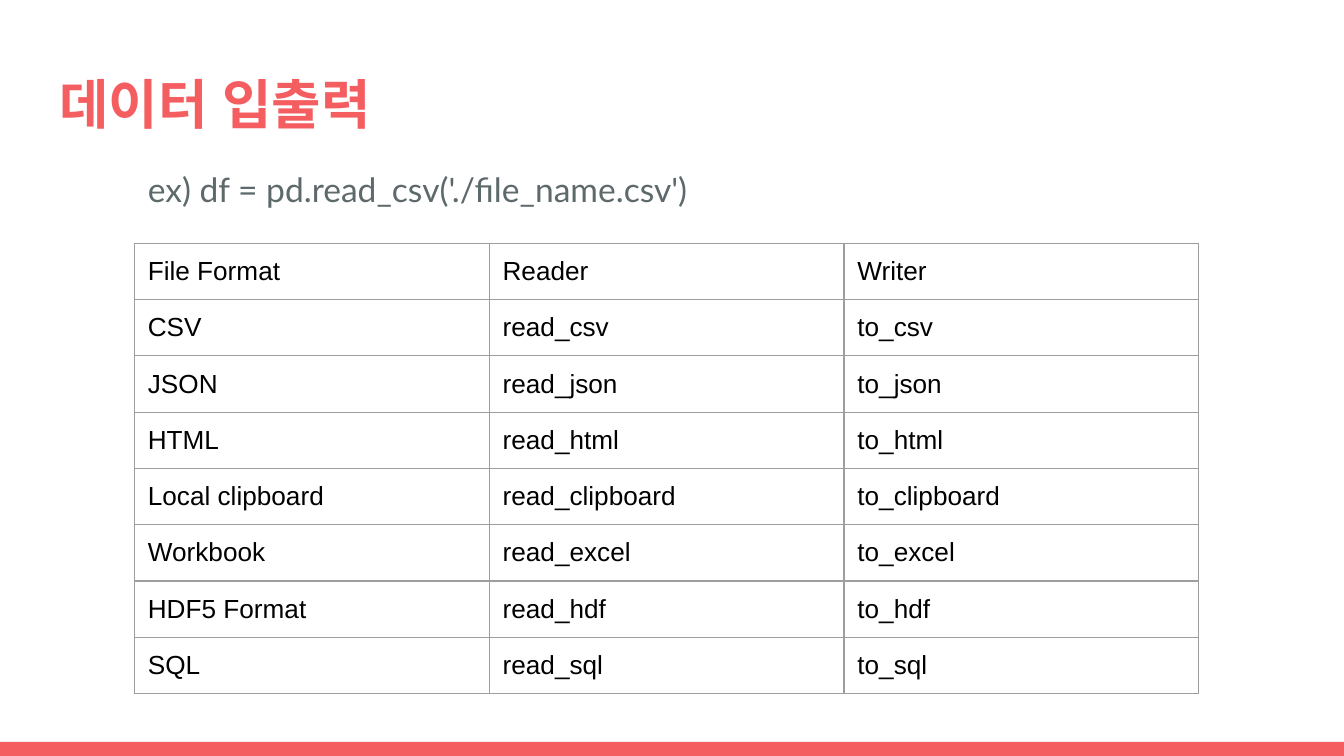
from lxml import etree
from pptx import Presentation
from pptx.dml.color import RGBColor
from pptx.enum.shapes import MSO_SHAPE
from pptx.enum.text import MSO_ANCHOR, MSO_AUTO_SIZE, PP_ALIGN
from pptx.oxml.ns import qn
from pptx.util import Inches, Pt

RECTANGLE = MSO_SHAPE.RECTANGLE
TOP, MIDDLE = MSO_ANCHOR.TOP, MSO_ANCHOR.MIDDLE
LEFT = PP_ALIGN.LEFT
NO_AUTOFIT = MSO_AUTO_SIZE.NONE

CORAL = RGBColor(0xF5, 0x5E, 0x61)
SLATE = RGBColor(0x5E, 0x69, 0x6C)
BLACK = RGBColor(0x00, 0x00, 0x00)
GRID_GREY = RGBColor(0x9E, 0x9E, 0x9E)

FORMATS = [
    ("File Format", "Reader", "Writer"),
    ("CSV", "read_csv", "to_csv"),
    ("JSON", "read_json", "to_json"),
    ("HTML", "read_html", "to_html"),
    ("Local clipboard", "read_clipboard", "to_clipboard"),
    ("Workbook", "read_excel", "to_excel"),
    ("HDF5 Format", "read_hdf", "to_hdf"),
    ("SQL", "read_sql", "to_sql"),
]

SLIDE_W = Inches(10)
SLIDE_H = SLIDE_W * 9 // 16
BAND_TOP = Inches(5.52)
INSET = Inches(0.1)
TABLE_LEFT, TABLE_TOP = Inches(1), Inches(1.81)
TABLE_W, TABLE_H = Inches(7.92), Inches(3.34)
COLUMN_W = TABLE_W // len(FORMATS[0])
ROW_H = TABLE_H // len(FORMATS)


def write(frame, text, *, font, size, color, bold=False, line=1.0, after=0):
    paragraph = frame.paragraphs[0]
    paragraph.alignment = LEFT
    paragraph.line_spacing = line
    paragraph.space_before = Pt(0)
    paragraph.space_after = Pt(after)
    run = paragraph.add_run()
    run.text = text
    run.font.name = font
    run.font.size = Pt(size)
    run.font.bold = bold
    run.font.color.rgb = color
    etree.SubElement(run.font._element, qn("a:ea"), typeface="Arial")
    return paragraph


prs = Presentation()
prs.slide_width, prs.slide_height = SLIDE_W, SLIDE_H
slide = prs.slides.add_slide(prs.slide_layouts[1])

footer_band = slide.shapes.add_shape(
    RECTANGLE, 0, BAND_TOP, SLIDE_W, SLIDE_H - BAND_TOP)
footer_band.shadow.inherit = False
footer_band.fill.solid()
footer_band.fill.fore_color.rgb = CORAL
footer_band.line.fill.background()

heading = slide.shapes.title
example = slide.placeholders[1]
for holder, left, top, width, height, anchor in (
    (heading, 0.34, 0.43, 9.32, 0.68, MIDDLE),
    (example, 1, 1.11, 7.92, 0.65, TOP),
):
    holder.left, holder.top = Inches(left), Inches(top)
    holder.width, holder.height = Inches(width), Inches(height)
    frame = holder.text_frame
    frame.margin_left = frame.margin_right = INSET
    frame.margin_top = frame.margin_bottom = INSET
    frame.vertical_anchor = anchor
    frame.auto_size = NO_AUTOFIT
    frame.word_wrap = True

write(heading.text_frame, "데이터 입출력",
      font="Cambria", size=28.8, color=CORAL, bold=True)
code_line = write(example.text_frame, "ex) df = pd.read_csv('./file_name.csv')",
                  font="Lato", size=18, color=SLATE, line=1.15, after=12)
code_properties = code_line._p.get_or_add_pPr()
code_properties.set("marL", "0")
code_properties.set("indent", "0")
etree.SubElement(code_properties, qn("a:buNone"))

format_table = slide.shapes.add_table(
    len(FORMATS), len(FORMATS[0]), TABLE_LEFT, TABLE_TOP, TABLE_W, TABLE_H).table
format_table.first_row = False
format_table.horz_banding = False
for column in format_table.columns:
    column.width = COLUMN_W
for row, entries in zip(format_table.rows, FORMATS):
    row.height = ROW_H
    for cell, entry in zip(row.cells, entries):
        cell.margin_left = cell.margin_right = INSET
        cell.margin_top = cell.margin_bottom = INSET
        write(cell.text_frame, entry, font="Arial", size=14, color=BLACK)
        cell_properties = cell._tc.get_or_add_tcPr()
        for side in ("a:lnL", "a:lnR", "a:lnT", "a:lnB"):
            border = etree.SubElement(cell_properties, qn(side), w=str(Pt(0.75)))
            border_fill = etree.SubElement(border, qn("a:solidFill"))
            etree.SubElement(border_fill, qn("a:srgbClr"), val=str(GRID_GREY))
        cell.fill.background()

prs.save("out.pptx")
